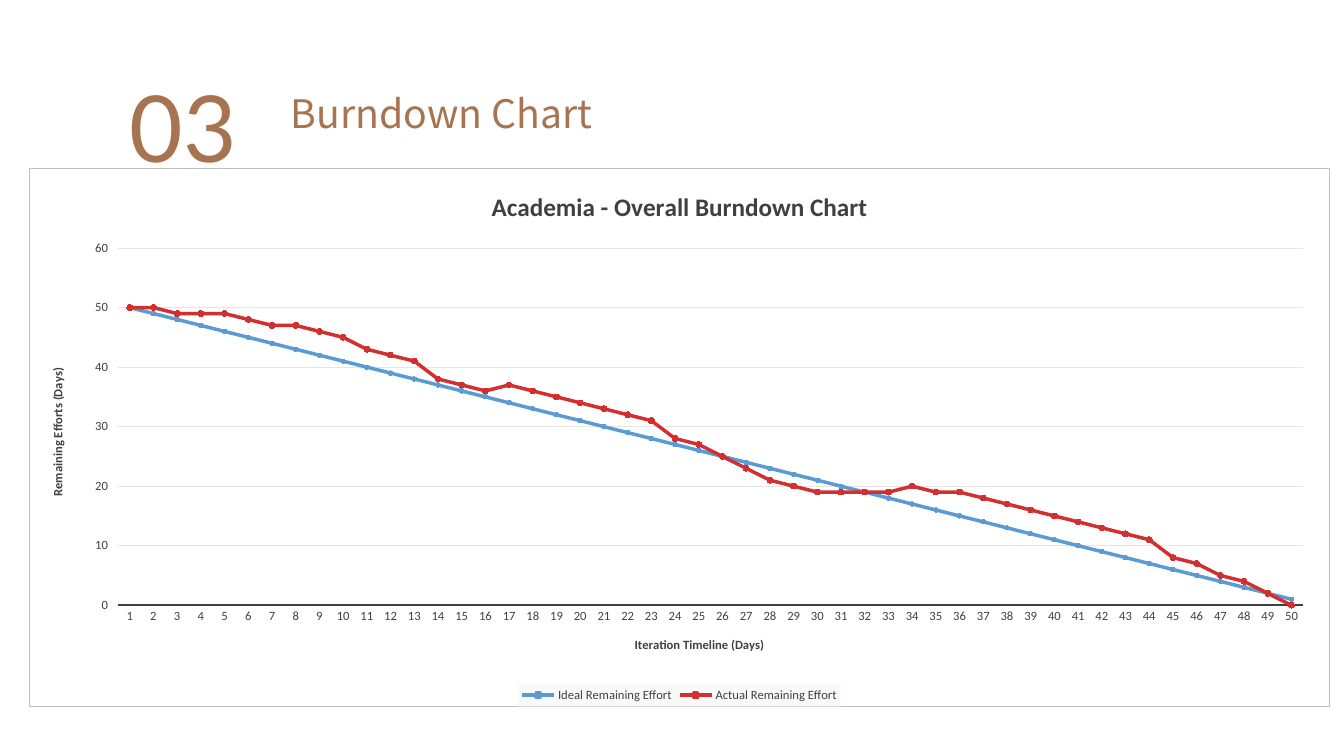
from lxml import etree
from pptx import Presentation
from pptx import util as u
from pptx.chart.data import CategoryChartData
from pptx.dml.color import RGBColor
from pptx.enum import chart as ch, text
from pptx.oxml import parse_xml
from pptx.oxml.ns import nsdecls, qn

WHITE = RGBColor(0xFF, 0xFF, 0xFF)
BROWN = RGBColor(0xA7, 0x74, 0x52)
CHARCOAL = RGBColor(0x40, 0x40, 0x40)
BORDER_GREY = RGBColor(0xBF, 0xBF, 0xBF)
GRID_GREY = RGBColor(0xE6, 0xE6, 0xE6)
LEGEND_GREY = RGBColor(0xF9, 0xF9, 0xF9)
BLUE = RGBColor(0x5B, 0x9B, 0xD5)
DARK_BLUE = RGBColor(0x00, 0x70, 0xC0)
RED = RGBColor(0xD3, 0x2F, 0x2F)
DARK_RED = RGBColor(0xB7, 0x1C, 0x1C)

IDEAL = list(range(50, 0, -1))
ACTUAL = [50, 50, 49, 49, 49, 48, 47, 47, 46, 45,
          43, 42, 41, 38, 37, 36, 37, 36, 35, 34,
          33, 32, 31, 28, 27, 25, 23, 21, 20, 19,
          19, 19, 19, 20, 19, 19, 18, 17, 16, 15,
          14, 13, 12, 11, 8, 7, 5, 4, 2, 0]
# name, values, line colour, marker size, marker colour
EFFORTS = [
    ("Ideal Remaining Effort", IDEAL, BLUE, 3, DARK_BLUE),
    ("Actual Remaining Effort", ACTUAL, RED, 4, DARK_RED),
]


def px(n):
    return u.Emu(round(n * 914400 / 100.8))


def box_style(fill, line=None):
    """Shape properties for chart parts that have no public format object."""
    outline = (f'<a:ln w="9525"><a:solidFill><a:srgbClr val="{line}"/></a:solidFill></a:ln>'
               if line else "<a:ln><a:noFill/></a:ln>")
    return parse_xml(f'<c:spPr {nsdecls("c", "a")}><a:solidFill><a:srgbClr val="{fill}"/>'
                     f'</a:solidFill>{outline}</c:spPr>')


class SlideBuilder:
    chart_font = "Calibri"

    def __init__(self, slide):
        self.slide = slide

    def style(self, font, size, color, name, bold=False):
        font.size, font.name, font.bold = u.Pt(size), name, bold
        font.color.rgb = color

    def heading(self, wording, left, top, width, height, size, name):
        frame = self.slide.shapes.add_textbox(*map(px, (left, top, width, height))).text_frame
        frame.word_wrap = True
        frame.auto_size = text.MSO_AUTO_SIZE.SHAPE_TO_FIT_TEXT
        run = frame.paragraphs[0].add_run()
        run.text = wording
        self.style(run.font, size, BROWN, name)

    def chart_title(self, frame, wording, size):
        run = frame.paragraphs[0].add_run()
        run.text = wording
        self.style(run.font, size, CHARCOAL, self.chart_font, bold=True)

    def axis(self, axis, title, tick):
        axis.has_title = True
        self.chart_title(axis.axis_title.text_frame, title, 9)
        axis.major_tick_mark = tick
        axis.minor_tick_mark = ch.XL_TICK_MARK.NONE
        self.style(axis.tick_labels.font, 9, CHARCOAL, self.chart_font)

    def plot_layout(self, chart, x, y, w, h):
        """Place the inner plot area as fractions of the chart."""
        plot_area = chart.element.find(".//" + qn("c:plotArea"))
        layout = plot_area.find(qn("c:layout"))
        if layout is not None:
            plot_area.remove(layout)
        layout = parse_xml(f'<c:layout {nsdecls("c")}/>')
        manual = etree.SubElement(layout, qn("c:manualLayout"))
        for tag, value in (("layoutTarget", "inner"), ("xMode", "edge"), ("yMode", "edge"),
                           ("x", x), ("y", y), ("w", w), ("h", h)):
            etree.SubElement(manual, qn("c:" + tag)).set("val", str(value))
        plot_area.insert(0, layout)

    def burndown(self, left, top, width, height):
        data = CategoryChartData()
        data.categories = [str(day) for day in range(1, 51)]
        for name, values, *_ in EFFORTS:
            data.add_series(name, values)
        chart = self.slide.shapes.add_chart(
            ch.XL_CHART_TYPE.LINE_MARKERS, *map(px, (left, top, width, height)), data).chart
        self.style(chart.font, 10, CHARCOAL, self.chart_font)
        chart.element.find(qn("c:txPr")).addprevious(box_style(WHITE, BORDER_GREY))
        chart.has_title = True
        self.chart_title(chart.chart_title.text_frame, "Academia - Overall Burndown Chart", 18)
        chart.chart_title.include_text_in_layout = False
        self.plot_layout(chart, 0.068, 0.148, 0.912, 0.664)

        days, remaining = chart.category_axis, chart.value_axis
        self.axis(days, "Iteration Timeline (Days)", ch.XL_TICK_MARK.NONE)
        days.format.line.color.rgb = CHARCOAL
        days.format.line.width = u.Pt(1.5)
        self.axis(remaining, "Remaining Efforts (Days)", ch.XL_TICK_MARK.OUTSIDE)
        remaining.format.line.fill.background()
        remaining.minimum_scale, remaining.maximum_scale, remaining.major_unit = 0, 60, 10
        remaining.major_gridlines.format.line.color.rgb = GRID_GREY
        remaining.major_gridlines.format.line.width = u.Pt(0.75)

        chart.has_legend = True
        legend = chart.legend
        legend.position = ch.XL_LEGEND_POSITION.BOTTOM
        legend.include_in_layout = False
        self.style(legend.font, 9, CHARCOAL, self.chart_font)
        legend.font.bold = False
        chart.element.find(".//" + qn("c:legend")).find(qn("c:txPr")).addprevious(
            box_style(LEGEND_GREY))

        plot = chart.plots[0]
        plot.vary_by_categories = False
        for series, (_, _, color, size, marker_color) in zip(plot.series, EFFORTS):
            series.smooth = False
            series.format.line.color.rgb = color
            series.format.line.width = u.Pt(2.5)
            marker = series.marker
            marker.style, marker.size = ch.XL_MARKER_STYLE.CIRCLE, size
            marker.format.fill.solid()
            marker.format.fill.fore_color.rgb = marker_color
            marker.format.line.color.rgb = marker_color


def main():
    deck = Presentation()
    deck.slide_width, deck.slide_height = px(1344), px(756)
    page = SlideBuilder(deck.slides.add_slide(deck.slide_layouts[6]))
    page.heading("03", 120, 65, 197, 109, 66, "Lato")
    page.heading("Burndown Chart", 281, 84, 436, 51, 28, "Noto Sans CJK TC")
    page.burndown(29, 168, 1301, 539)
    deck.save("out.pptx")


if __name__ == "__main__":
    main()
